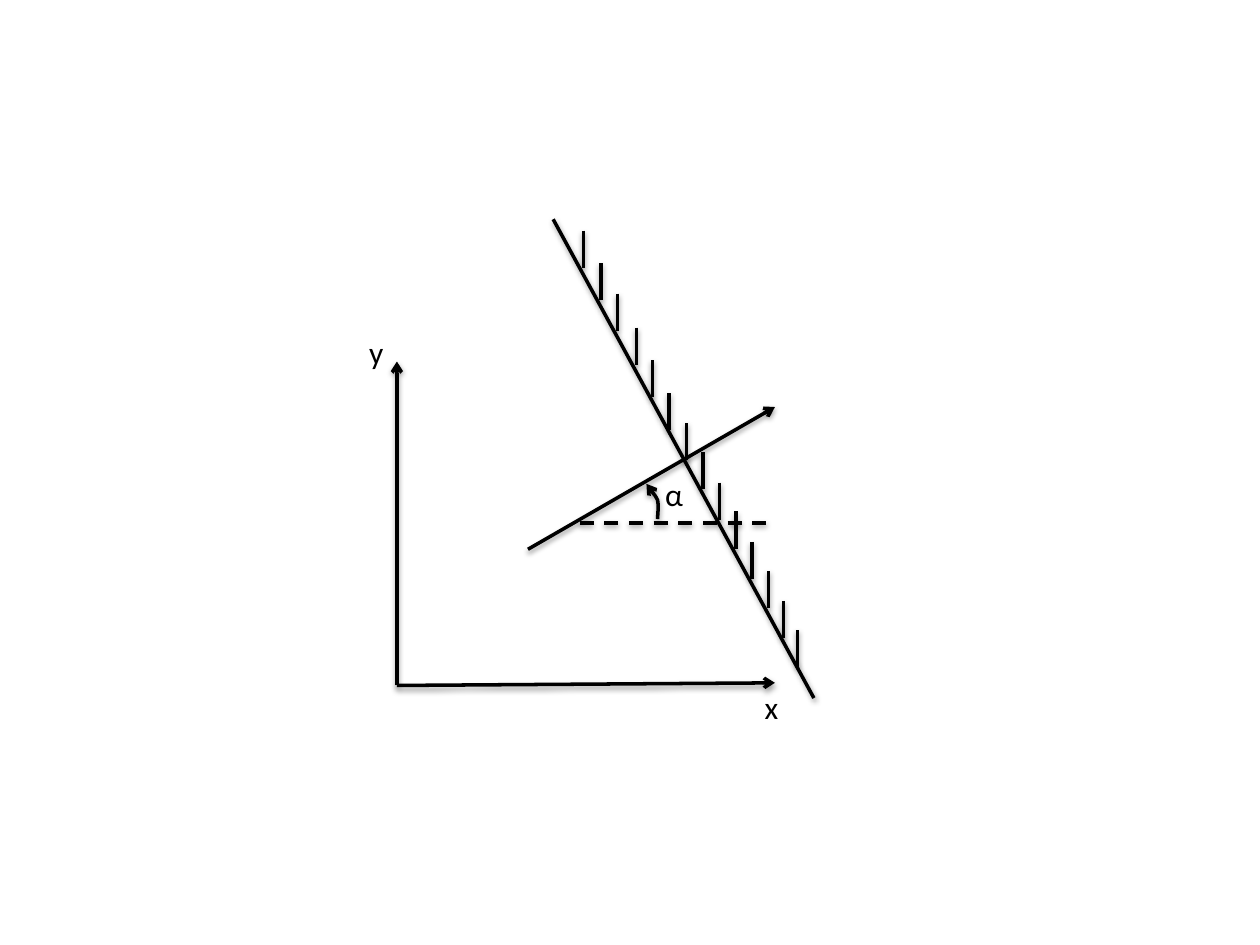
from lxml import etree
from pptx import Presentation
from pptx.dml.color import RGBColor
from pptx.enum.dml import MSO_LINE
from pptx.enum.shapes import MSO_CONNECTOR
from pptx.enum.text import MSO_AUTO_SIZE
from pptx.oxml import parse_xml
from pptx.oxml.ns import qn
from pptx.util import Pt

STRAIGHT = MSO_CONNECTOR.STRAIGHT
DASH = MSO_LINE.DASH
GROW = MSO_AUTO_SIZE.SHAPE_TO_FIT_TEXT
BLANK = 6

THEME = {"ink": "000000", "font": "Calibri", "size": 18, "line": 2,
         "blur": 3.1, "drop": 1.6, "alpha": 38}

AXES = [
    (226.8, 391.7, 442.8, 390.2),
    (226.8, 391.7, 226.8, 206.6),
]
WALL = (316.1, 125.3, 465.1, 398.9)
HATCH = [
    (333.4, 131.8), (343.4, 150.5), (352.8, 167.8), (363.6, 187.2),
    (373, 205.9), (382.3, 224.6), (392.4, 241.9), (401.8, 258.5),
    (411.1, 275.8), (420.5, 292.3), (429.8, 309.6), (439.2, 326.2),
    (447.8, 343.4), (455.8, 360),
]
TICK = 21.2
NORMAL = (301.7, 313.9, 442.8, 232.6)
LEVEL = (331.2, 298.8, 441.4, 298.8)
ARC = [(375.8, 296.6), (375.8, 293), (376.6, 289.4), (375.8, 285.8),
       (374.4, 283), (369.4, 276.5), (369.4, 276.5)]
LABELS = [
    ("α", 373, 267.8, 25.2, 28.8),
    ("x", 429.8, 389.5, 22.3, 28.8),
    ("y", 203.8, 186.5, 23, 28.8),
]

INK = RGBColor.from_string(THEME["ink"])
SHADE = (
    '<a:effectLst xmlns:a="http://schemas.openxmlformats.org/drawingml/2006/main">'
    f'<a:outerShdw blurRad="{Pt(THEME["blur"])}" dist="{Pt(THEME["drop"])}" '
    'dir="5400000" rotWithShape="0">'
    f'<a:srgbClr val="{THEME["ink"]}"><a:alpha val="{THEME["alpha"] * 1000}"/>'
    '</a:srgbClr></a:outerShdw></a:effectLst>'
)

deck = Presentation()
deck.slide_width, deck.slide_height = Pt(720), Pt(540)
slide = deck.slides.add_slide(deck.slide_layouts[BLANK])
shapes = slide.shapes


def style(part, arrow=False, dash=None):
    line = part.line
    line.color.rgb = INK
    line.width = Pt(THEME["line"])
    if dash:
        line.dash_style = dash
    props = part._element.spPr
    if arrow:
        etree.SubElement(props.find(qn("a:ln")), qn("a:tailEnd"), type="arrow")
    props.append(parse_xml(SHADE))


def draw(ends, arrow=False, dash=None):
    style(shapes.add_connector(STRAIGHT, *map(Pt, ends)), arrow, dash)


def curve(points):
    spots = [(Pt(x), Pt(y)) for x, y in points]
    pen = shapes.build_freeform(*spots[0])
    pen.add_line_segments(spots[1:], close=False)
    part = pen.convert_to_shape()
    part.fill.background()
    track = part._element.spPr.find(".//" + qn("a:path"))
    steps = track.findall(qn("a:lnTo"))
    for start in range(0, len(steps), 3):
        bend = etree.SubElement(track, qn("a:cubicBezTo"))
        for step in steps[start:start + 3]:
            bend.append(step[0])
            track.remove(step)
    style(part, arrow=True)


def label(text, *box):
    frame = shapes.add_textbox(*map(Pt, box)).text_frame
    frame.word_wrap = False
    frame.auto_size = GROW
    run = frame.paragraphs[0].add_run()
    run.text = text
    run.font.name = THEME["font"]
    run.font.size = Pt(THEME["size"])
    run.font.color.rgb = INK


for axis in AXES:
    draw(axis, arrow=True)
draw(WALL)
for x, y in HATCH:
    draw((x, y, x, y + TICK))
draw(NORMAL, arrow=True)
draw(LEVEL, dash=DASH)
curve(ARC)
for item in LABELS:
    label(*item)

deck.save("out.pptx")
